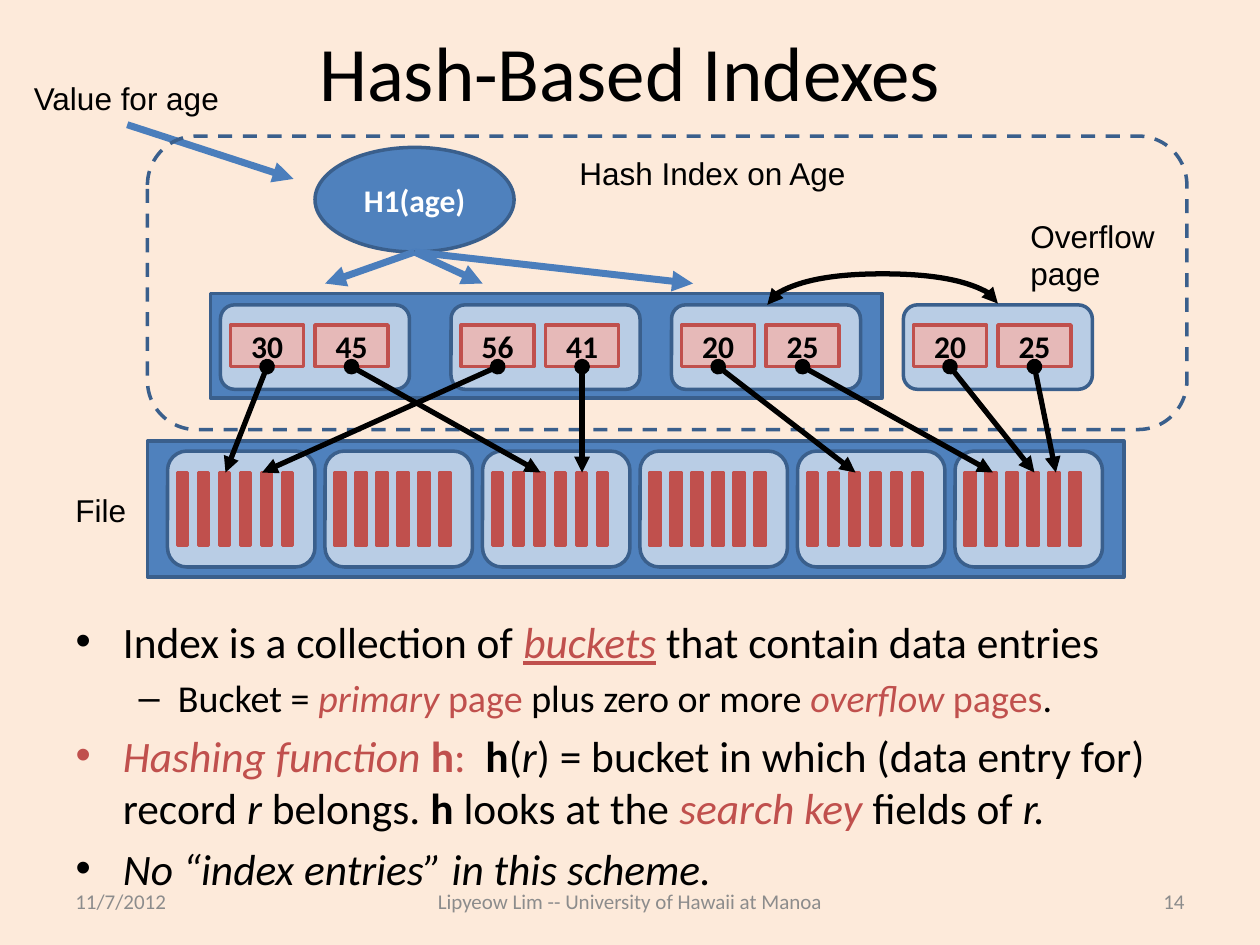
from dataclasses import dataclass, field
from typing import Optional

from lxml.etree import SubElement
from pptx import Presentation
from pptx.dml.color import RGBColor
from pptx.enum.dml import MSO_LINE
from pptx.enum.shapes import MSO_CONNECTOR, MSO_SHAPE
from pptx.enum.text import MSO_ANCHOR, MSO_AUTO_SIZE, PP_ALIGN
from pptx.oxml.ns import qn
from pptx.util import Inches, Pt

BACKGROUND = RGBColor(0xFD, 0xEA, 0xDA)
BLACK = RGBColor(0x00, 0x00, 0x00)
WHITE = RGBColor(0xFF, 0xFF, 0xFF)
BLUE = RGBColor(0x4F, 0x81, 0xBD)
ARROW_BLUE = RGBColor(0x4B, 0x7E, 0xBC)
DARK_BLUE = RGBColor(0x3A, 0x5F, 0x8C)
PALE_BLUE = RGBColor(0xB9, 0xCD, 0xE5)
RED = RGBColor(0xC0, 0x50, 0x4D)
PINK = RGBColor(0xE6, 0xB9, 0xB8)
GREY = RGBColor(0x8C, 0x8C, 0x8C)

ITALIC = {"italic": True}
BOLD = {"bold": True}
LABEL = {"name": "Arial", "size": Pt(18)}
ENTRY = {"name": "Calibri", "size": Pt(18), "bold": True}
FOOTER = {"name": "Calibri", "size": Pt(12)}
ENTRY_TOP, ENTRY_WIDTH, ENTRY_HEIGHT = 2.58, 0.58, 0.33
RECORD_TOP = 3.75


@dataclass
class Span:
    text: str
    color: RGBColor = BLACK
    format: dict = field(default_factory=dict)


@dataclass
class Bullet:
    level: int
    size: float
    spans: list[Span]


@dataclass
class Label:
    text: str
    box: tuple[float, float, float, float]
    format: dict
    color: RGBColor = BLACK
    alignment: PP_ALIGN = PP_ALIGN.LEFT
    anchor: MSO_ANCHOR = MSO_ANCHOR.TOP
    wrap: bool = False


@dataclass
class Bucket:
    left: float
    entries: tuple[str, str]
    targets: tuple[float, float]


BULLETS = [
    Bullet(0, 24.8, [
        Span("Index is a collection of "),
        Span("buckets", RED, {"italic": True, "underline": True}),
        Span(" that contain data entries"),
    ]),
    Bullet(1, 21.7, [
        Span("Bucket = "), Span("primary", RED, ITALIC), Span(" page", RED),
        Span(" plus zero or more "), Span("overflow", RED, ITALIC),
        Span(" pages", RED), Span("."),
    ]),
    Bullet(0, 24.8, [
        Span("Hashing function ", RED, ITALIC), Span("h", RED, BOLD),
        Span(":  ", RED), Span("h", BLACK, BOLD), Span("("),
        Span("r", BLACK, ITALIC),
        Span(") = bucket in which (data entry for) record "),
        Span("r", BLACK, ITALIC), Span(" belongs. "), Span("h", BLACK, BOLD),
        Span(" looks at the "), Span("search key", RED, ITALIC),
        Span(" fields of "), Span("r.", BLACK, ITALIC),
    ]),
    Bullet(0, 24.8, [Span("No “index entries” in this scheme.", BLACK, ITALIC)]),
]
LABELS = [
    Label("File", (0.5, 3.85, 0.61, 0.4), LABEL),
    Label("Value for age", (0.17, 0.58, 1.68, 0.4), LABEL),
    Label("Hash Index on Age", (4.5, 1.17, 2.33, 0.4), LABEL),
    Label("Overflow\npage", (8.08, 1.67, 1.27, 0.71), LABEL),
    Label("11/7/2012", (0.5, 6.95, 2.33, 0.4), FOOTER, GREY,
          PP_ALIGN.LEFT, MSO_ANCHOR.MIDDLE, True),
    Label("Lipyeow Lim -- University of Hawaii at Manoa", (3, 6.95, 4, 0.4),
          FOOTER, GREY, PP_ALIGN.CENTER, MSO_ANCHOR.MIDDLE, True),
    Label("14", (7.17, 6.95, 2.33, 0.4), FOOTER, GREY,
          PP_ALIGN.RIGHT, MSO_ANCHOR.MIDDLE, True),
]
BUCKETS = [
    Bucket(1.75, ("30", "45"), (1.79, 4.29)),
    Bucket(3.58, ("56", "41"), (2.08, 4.62)),
    Bucket(5.33, ("20", "25"), (6.79, 7.88)),
    Bucket(7.17, ("20", "25"), (8.21, 8.38)),
]


def format_font(font, color: RGBColor, values: dict) -> None:
    font.color.rgb = color
    for name, value in values.items():
        setattr(font, name, value)


def place(shape, *box: float) -> None:
    for name, value in zip(("left", "top", "width", "height"), box):
        setattr(shape, name, Inches(value))


def draw_shape(shapes, kind: MSO_SHAPE, box: tuple, fill: Optional[RGBColor],
               outline: RGBColor, text: str = "", color: RGBColor = BLACK):
    shape = shapes.add_shape(kind, *map(Inches, box))
    shape.shadow.inherit = False
    if fill is None:
        shape.fill.background()
    else:
        shape.fill.solid()
        shape.fill.fore_color.rgb = fill
    shape.line.color.rgb = outline
    shape.line.width = Pt(2)
    if text:
        shape.text_frame.vertical_anchor = MSO_ANCHOR.MIDDLE
        paragraph = shape.text_frame.paragraphs[0]
        paragraph.text = text
        paragraph.alignment = PP_ALIGN.CENTER
        format_font(paragraph.runs[0].font, color, ENTRY)
    return shape


def draw_arrow(shapes, start: tuple, end: tuple, color: RGBColor, width: float,
               head: str = "", kind: MSO_CONNECTOR = MSO_CONNECTOR.STRAIGHT):
    connector = shapes.add_connector(kind, *map(Inches, start + end))
    connector.line.color.rgb = color
    connector.line.width = Pt(width)
    line = connector.line._get_or_add_ln()
    if head:
        SubElement(line, qn("a:headEnd"), type=head)
    SubElement(line, qn("a:tailEnd"), type="triangle")
    SubElement(connector._element.spPr, qn("a:effectLst"))
    return connector


def draw_overflow_link(shapes) -> None:
    link = draw_arrow(shapes, (7.01, 3.33), (7, 1.5), BLACK, 3, "triangle", MSO_CONNECTOR.CURVE)
    properties = link._element.spPr
    properties.find(qn("a:xfrm")).set("rot", "5400000")
    adjustments = properties.find(qn("a:prstGeom")).get_or_add_avLst()
    SubElement(adjustments, qn("a:gd"), name="adj1", fmla="val 2500000")


def draw_file_page(shapes, left: float) -> None:
    page = shapes.add_group_shape().shapes
    draw_shape(page, MSO_SHAPE.ROUNDED_RECTANGLE, (left, 3.58, 1.17, 0.92), PALE_BLUE, DARK_BLUE)
    for index in range(6):
        record = (left + 0.08 + index / 6, RECORD_TOP, 0.08, 0.58)
        draw_shape(page, MSO_SHAPE.RECTANGLE, record, RED, RED)


def entry_left(bucket: Bucket, index: int) -> float:
    return bucket.left + 0.08 + index * 0.67


def draw_bucket(shapes, bucket: Bucket) -> None:
    draw_shape(shapes, MSO_SHAPE.ROUNDED_RECTANGLE, (bucket.left, 2.42, 1.5, 0.67),
               PALE_BLUE, DARK_BLUE)
    for index, text in enumerate(bucket.entries):
        box = (entry_left(bucket, index), ENTRY_TOP, ENTRY_WIDTH, ENTRY_HEIGHT)
        draw_shape(shapes, MSO_SHAPE.RECTANGLE, box, PINK, RED, text)


def draw_pointers(shapes, bucket: Bucket) -> None:
    for index, target in enumerate(bucket.targets):
        start = (entry_left(bucket, index) + ENTRY_WIDTH / 2, ENTRY_TOP + ENTRY_HEIGHT)
        draw_arrow(shapes, start, (target, RECORD_TOP), BLACK, 3, "oval")


def draw_label(shapes, label: Label) -> None:
    frame = shapes.add_textbox(*map(Inches, label.box)).text_frame
    frame.word_wrap = label.wrap
    frame.vertical_anchor = label.anchor
    frame.text = label.text
    for paragraph in frame.paragraphs:
        paragraph.alignment = label.alignment
        format_font(paragraph.runs[0].font, label.color, label.format)


def fill_placeholders(slide) -> None:
    title, body = slide.shapes.title, slide.placeholders[1]
    place(title, 0.5, 0.17, 9, 0.78)
    title.text = "Hash-Based Indexes"
    format_font(title.text_frame.paragraphs[0].runs[0].font, BLACK,
                {"name": "Calibri", "size": Pt(44)})
    place(body, 0.5, 4.83, 9, 2.08)
    frame = body.text_frame
    for text_frame in (title.text_frame, frame):
        text_frame.auto_size = MSO_AUTO_SIZE.NONE
    for index, bullet in enumerate(BULLETS):
        paragraph = frame.add_paragraph() if index else frame.paragraphs[0]
        paragraph.level = bullet.level
        if index == 0:
            paragraph.space_before = Pt(0)
        for span in bullet.spans:
            run = paragraph.add_run()
            run.text = span.text
            format_font(run.font, span.color,
                        {"name": "Calibri", "size": Pt(bullet.size), **span.format})


def main() -> None:
    presentation = Presentation()
    presentation.slide_width, presentation.slide_height = Inches(10), Inches(7.5)
    slide = presentation.slides.add_slide(presentation.slide_layouts[1])
    slide.background.fill.solid()
    slide.background.fill.fore_color.rgb = BACKGROUND
    fill_placeholders(slide)
    shapes = slide.shapes
    draw_shape(shapes, MSO_SHAPE.OVAL, (2.5, 1.17, 1.58, 0.83), BLUE, DARK_BLUE, "H1(age)", WHITE)
    for box in ((1.67, 2.33, 5.33, 0.83), (1.17, 3.5, 7.75, 1.08)):
        draw_shape(shapes, MSO_SHAPE.RECTANGLE, box, BLUE, DARK_BLUE)
    for index in range(6):
        draw_file_page(shapes, 1.33 + index * 1.25)
    draw_arrow(shapes, (1.01, 0.99), (2.33, 1.42), ARROW_BLUE, 4)
    index_outline = draw_shape(shapes, MSO_SHAPE.ROUNDED_RECTANGLE, (1.17, 1.08, 8.25, 2.33),
                               None, DARK_BLUE)
    index_outline.line.dash_style = MSO_LINE.DASH
    for bucket in BUCKETS:
        draw_bucket(shapes, bucket)
    for target in (2.58, 3.83, 5.5):
        draw_arrow(shapes, (3.29, 2), (target, 2.25), ARROW_BLUE, 4)
    draw_overflow_link(shapes)
    for label in LABELS:
        draw_label(shapes, label)
    for bucket in BUCKETS:
        draw_pointers(shapes, bucket)
    presentation.save("out.pptx")


if __name__ == "__main__":
    main()
